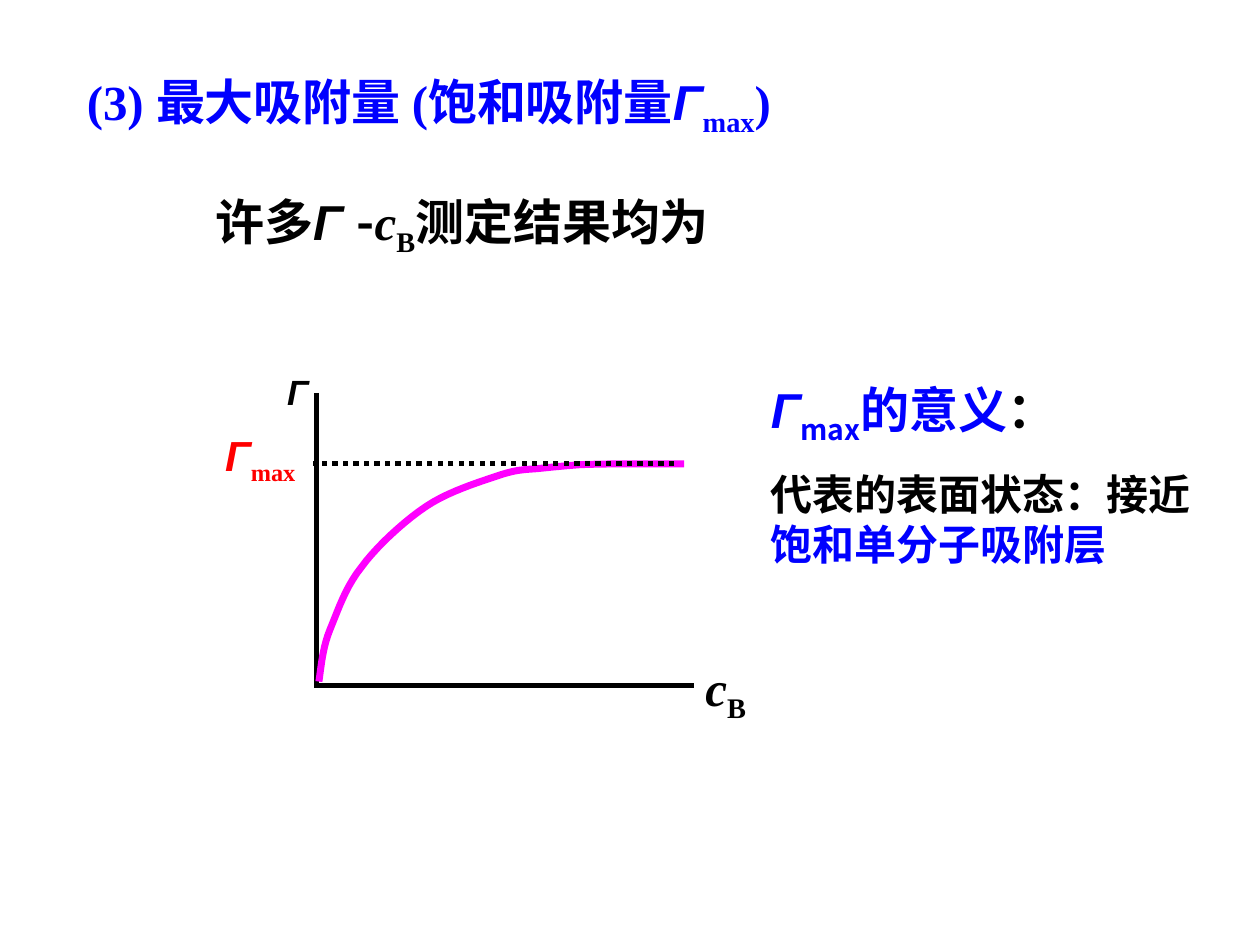
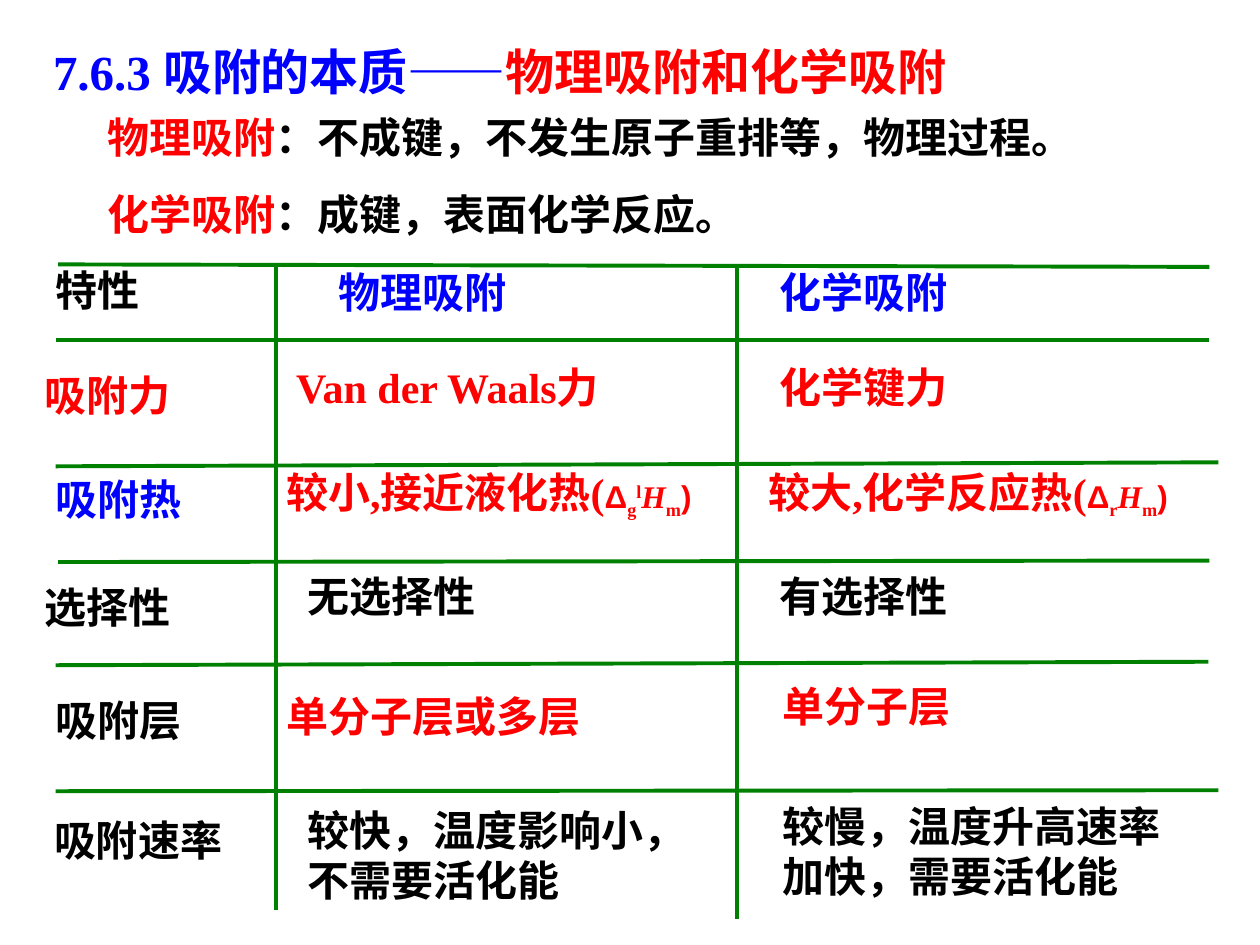
from dataclasses import dataclass
from typing import NamedTuple

from lxml.etree import SubElement
from pptx import Presentation
from pptx.dml.color import RGBColor
from pptx.enum.dml import MSO_LINE
from pptx.enum.lang import MSO_LANGUAGE_ID as Language
from pptx.enum.shapes import MSO_CONNECTOR as Connector
from pptx.enum.text import MSO_AUTO_SIZE as AutoSize
from pptx.oxml.ns import qn
from pptx.util import Cm, Pt

BLACK, BLUE, RED = "000000", "0000FF", "FF0000"
GREEN, MAGENTA = "008000", "FF00FF"
SERIF, SANS, CHINESE = "Times New Roman", "Arial", "Noto Sans CJK SC"
SUBSCRIPT, SUPERSCRIPT = -25, 30
TITLE_SIZE, BODY_SIZE = 28, 24


class Run(NamedTuple):
    text: str
    color: str = BLACK
    font: str = SERIF
    size: float | None = None
    italic: bool = False
    baseline: int = 0


class Line(NamedTuple):
    x1: float
    y1: float
    x2: float
    y2: float
    color: str = BLACK
    width: float = 3
    dash: MSO_LINE | None = None


class Entry(NamedTuple):
    """One comparison text, placed by its left and top in centimetres."""
    left: float
    top: float
    width: float
    runs: list[Run]
    height: float = 1.02


@dataclass
class Label:
    left: float
    top: float
    width: float
    height: float
    paragraphs: list[list[Run]]
    size: float = BODY_SIZE
    padded: bool = True


def rgb(color: str) -> RGBColor:
    return RGBColor.from_string(color)


def gamma(color: str, text: str = "Γ") -> Run:
    return Run(text, color, SANS, italic=True)


def subscript(text: str, color: str, **format) -> Run:
    return Run(text, color, baseline=SUBSCRIPT, **format)


def write_text(frame, paragraphs: list[list[Run]], *, size: float,
               space_before: float = 15) -> None:
    for index, runs in enumerate(paragraphs):
        paragraph = frame.add_paragraph() if index else frame.paragraphs[0]
        if index:
            paragraph.space_before = Pt(space_before)
        for item in runs:
            run = paragraph.add_run()
            run.text = item.text
            font = run.font
            font.name = item.font
            font.size = Pt(item.size or size)
            font.bold = True
            font.italic = item.italic
            font.color.rgb = rgb(item.color)
            font.language_id = Language.SIMPLIFIED_CHINESE
            properties = run._r.get_or_add_rPr()
            SubElement(properties, qn("a:ea"), typeface=CHINESE)
            if item.baseline:
                properties.set("baseline", str(item.baseline * 1000))


def add_label(slide, label: Label) -> None:
    shape = slide.shapes.add_textbox(
        Cm(label.left), Cm(label.top), Cm(label.width), Cm(label.height))
    frame = shape.text_frame
    frame.word_wrap = True
    frame.auto_size = AutoSize.SHAPE_TO_FIT_TEXT
    if not label.padded:
        frame.margin_left = frame.margin_right = 0
        frame.margin_top = frame.margin_bottom = 0
    write_text(frame, label.paragraphs, size=label.size)


def add_line(slide, line: Line) -> None:
    connector = slide.shapes.add_connector(
        Connector.STRAIGHT, Cm(line.x1), Cm(line.y1), Cm(line.x2), Cm(line.y2))
    connector.line.color.rgb = rgb(line.color)
    connector.line.width = Pt(line.width)
    if line.dash:
        connector.line.dash_style = line.dash
    SubElement(connector._element.spPr, qn("a:effectLst"))


def bezier_points(start: tuple, segments: list[tuple], steps: int = 10) -> list[tuple]:
    """Sample a chain of cubic segments, each given as two controls and an end."""
    points = [start]
    for control1, control2, end in segments:
        origin = points[-1]
        for step in range(1, steps + 1):
            t = step / steps
            u = 1 - t
            points.append(tuple(
                u**3 * a + 3 * u * u * t * b + 3 * u * t * t * c + t**3 * d
                for a, b, c, d in zip(origin, control1, control2, end)))
    return points


def add_curve(slide, points: list[tuple]) -> None:
    (first_x, first_y), *rest = points
    builder = slide.shapes.build_freeform(Cm(first_x), Cm(first_y))
    builder.add_line_segments([(Cm(x), Cm(y)) for x, y in rest], close=False)
    shape = builder.convert_to_shape()
    shape.shadow.inherit = False
    shape.fill.background()
    shape.line.color.rgb = rgb(MAGENTA)
    shape.line.width = Pt(4)


def enthalpy(lead: str, *marks: Run) -> list[Run]:
    return [
        Run(lead, RED), Run("Δ", RED, SANS, 18), *marks,
        Run("H", RED, size=18, italic=True),
        subscript("m", RED, size=18), Run(")", RED, SANS, 18),
    ]


def build_saturation_slide(slide) -> None:
    add_label(slide, Label(1.5, 1.32, 15.19, 2.79, [[
        Run("(3) 最大吸附量 (饱和吸附量", BLUE), gamma(BLUE),
        subscript("max", BLUE), Run(")", BLUE)]], TITLE_SIZE))
    add_label(slide, Label(4.09, 3.73, 12.01, 1.6, [[
        Run("许多", font=CHINESE), gamma(BLACK, "Γ "), Run("-", font=CHINESE),
        Run("c", italic=True), subscript("B", BLACK),
        Run("测定结果均为", font=CHINESE)]], TITLE_SIZE))

    origin_x, axis_y, plateau_y = 6.38, 13.82, 9.35
    add_line(slide, Line(origin_x, 7.92, origin_x, 13.87))
    add_line(slide, Line(origin_x, axis_y, 14, axis_y))
    add_curve(slide, bezier_points((6.43, 13.74), [
        ((6.48, 13.41), (6.5, 13.08), (6.65, 12.7)),
        ((6.81, 12.32), (6.96, 11.84), (7.29, 11.43)),
        ((7.59, 11.02), (8.13, 10.52), (8.59, 10.21)),
        ((9.04, 9.91), (9.63, 9.73), (10.01, 9.6)),
        ((10.39, 9.47), (10.54, 9.47), (10.82, 9.45)),
        ((11.1, 9.42), (11.3, 9.4), (11.68, 9.37)),
        ((12.09, plateau_y), (12.83, plateau_y), (13.18, plateau_y)),
        ((13.54, plateau_y), (13.67, plateau_y), (13.79, plateau_y)),
    ]))
    add_line(slide, Line(13.59, plateau_y, 6.3, plateau_y, dash=MSO_LINE.ROUND_DOT))

    for label in (
        Label(5.54, 7.34, 1.27, 1.12, [[gamma(BLACK)]], 20),
        Label(13.97, 13.13, 1.75, 1.6,
              [[Run("c", italic=True), subscript("B", BLACK)]], TITLE_SIZE),
        Label(4.29, 8.53, 2.62, 1.42, [[gamma(RED), subscript("max", RED)]]),
        Label(15.29, 7.52, 7.57, 1.6, [[
            gamma(BLUE), subscript("max", BLUE, font=CHINESE),
            Run("的意义", BLUE, CHINESE), Run("：", font=CHINESE)]], TITLE_SIZE),
        Label(15.29, 9.32, 9.53, 2.29, [[
            Run("代表的表面状态：接近", font=CHINESE),
            Run("饱和单分子吸附层", BLUE, CHINESE)]]),
    ):
        add_label(slide, label)


def build_comparison_slide(slide) -> None:
    add_label(slide, Label(1.07, 0.84, 21.44, 1.19, [[
        Run("7.6.3 吸附的本质——", BLUE), Run("物理吸附和化学吸附", RED)]],
        TITLE_SIZE, padded=False))

    for ends in (
        (14.86, 5.38, 14.86, 18.52),
        (5.56, 5.38, 5.56, 18.34),
        (1.17, 5.33, 24.38, 5.38),
        (1.12, 6.86, 24.38, 6.86),
        (1.12, 9.4, 24.56, 9.32),
        (1.17, 11.33, 24.38, 11.3),
        (1.12, 13.41, 24.36, 13.34),
        (1.12, 15.95, 24.56, 15.93),
    ):
        add_line(slide, Line(*ends, color=GREEN, width=2.25))

    for entry in (
        Entry(1.12, 5.33, 4.45, [Run("特性")]),
        Entry(6.83, 5.38, 6.99, [Run("物理吸附", BLUE)]),
        Entry(15.72, 5.38, 6.99, [Run("化学吸附", BLUE)]),

        Entry(0.89, 7.44, 4.45, [Run("吸附力", RED)]),
        Entry(5.97, 7.29, 8.26, [Run("Van der Waals力", RED)]),
        Entry(15.72, 7.29, 8.26, [Run("化学键力", RED)]),

        Entry(1.12, 9.55, 4.45, [Run("吸附热", BLUE)]),
        Entry(5.77, 9.4, 9.32, enthalpy(
            "较小,接近液化热(", subscript("g", RED, size=18),
            Run("l", RED, size=18, baseline=SUPERSCRIPT)), 1.07),
        Entry(15.49, 9.4, 9.32, enthalpy(
            "较大,化学反应热(", subscript("r", RED, size=18)), 1.07),

        Entry(0.89, 11.73, 4.45, [Run("选择性")]),
        Entry(6.2, 11.51, 7.82, [Run("无选择性")]),
        Entry(15.72, 11.51, 7.82, [Run("有选择性")]),

        Entry(1.12, 14, 4.45, [Run("吸附层")]),
        Entry(5.77, 13.92, 9.09, [Run("单分子层或多层", RED)]),
        Entry(15.77, 13.72, 7.82, [Run("单分子层", RED)]),

        Entry(1.09, 16.41, 4.09, [Run("吸附速率")]),
        Entry(6.2, 16.21, 8.26, [Run("较快，温度影响小，不需要活化能")], 2.03),
        Entry(15.77, 16.13, 8.26, [Run("较慢，温度升高速率加快，需要活化能")], 2.03),
    ):
        add_label(slide, Label(entry.left, entry.top, entry.width, entry.height,
                               [entry.runs], padded=False))

    add_label(slide, Label(1.91, 2.13, 20.52, 2.82, [
        [Run("物理吸附", RED), Run("：不成键，不发生原子重排等，物理过程。")],
        [Run("化学吸附", RED), Run("：成键，表面化学反应。")]]))


def main() -> None:
    presentation = Presentation()
    presentation.slide_width, presentation.slide_height = Cm(25.4), Cm(19.05)
    blank = presentation.slide_layouts[6]
    for build in (build_saturation_slide, build_comparison_slide):
        build(presentation.slides.add_slide(blank))
    presentation.save("out.pptx")


if __name__ == "__main__":
    main()
